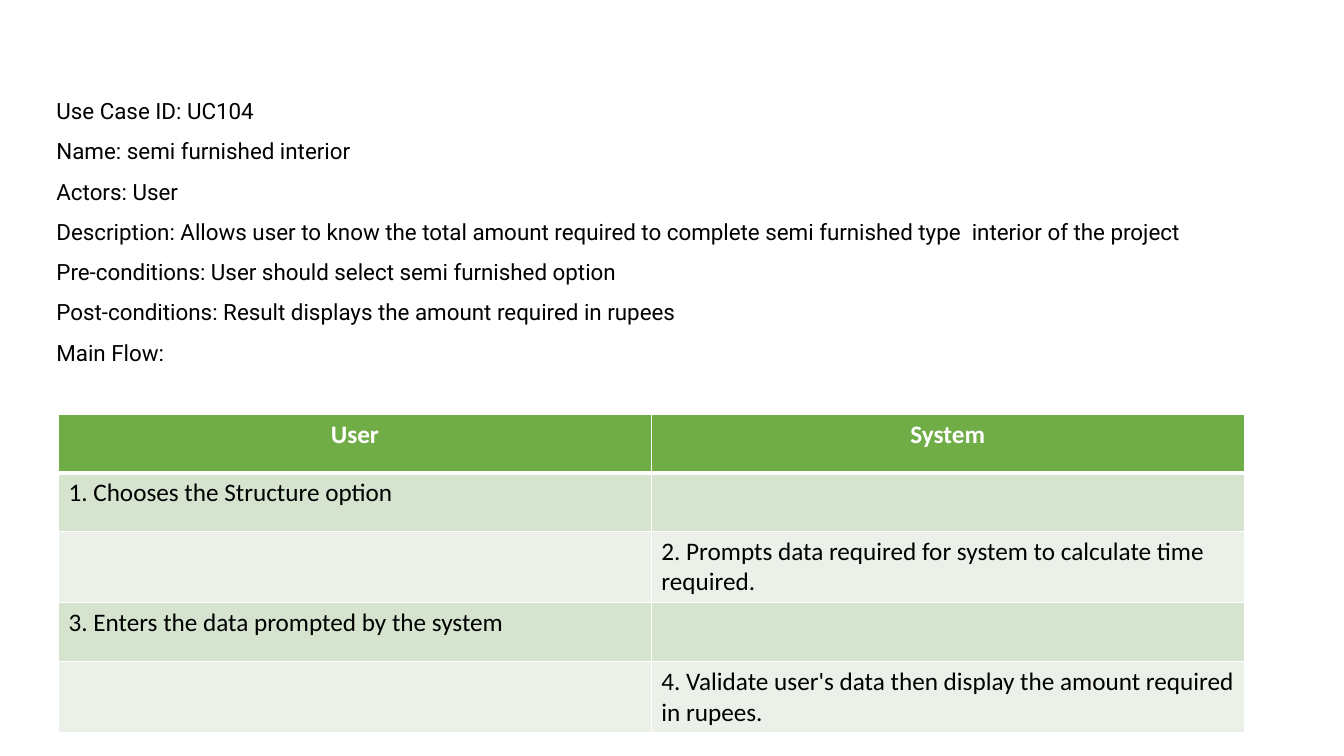
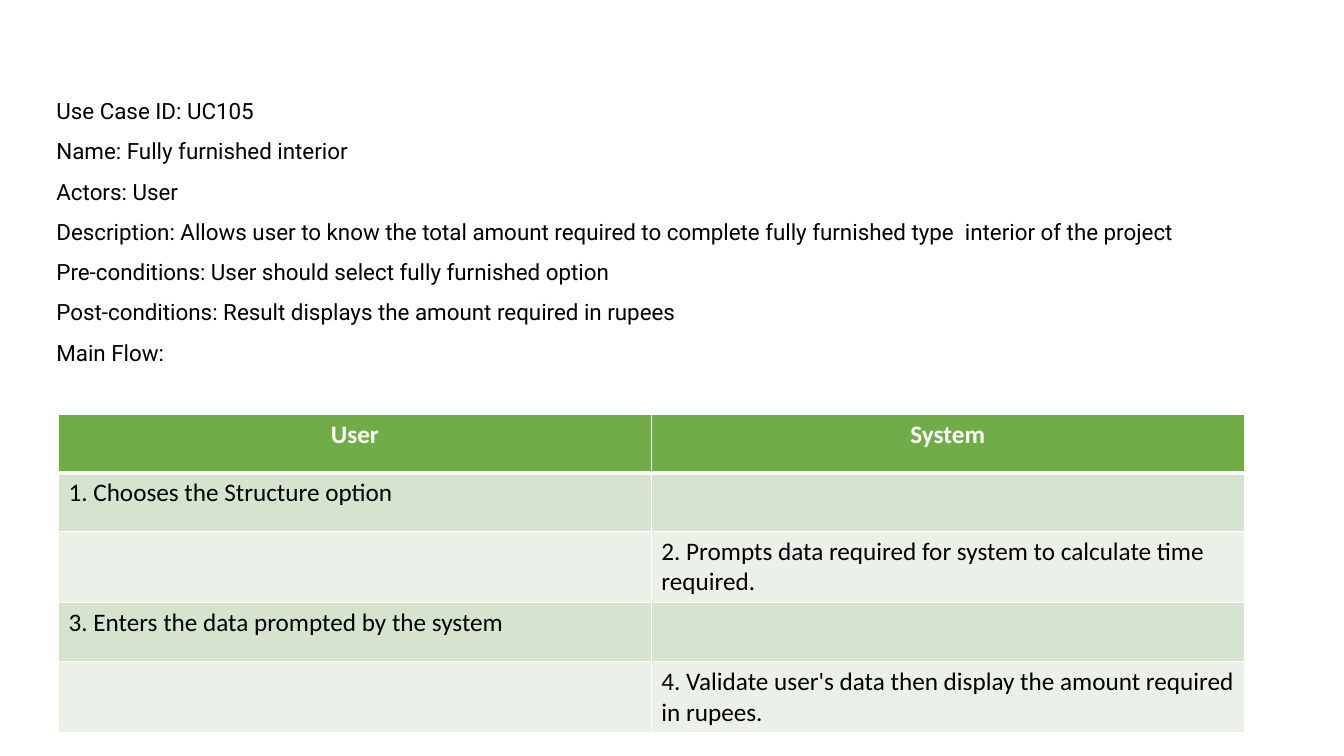
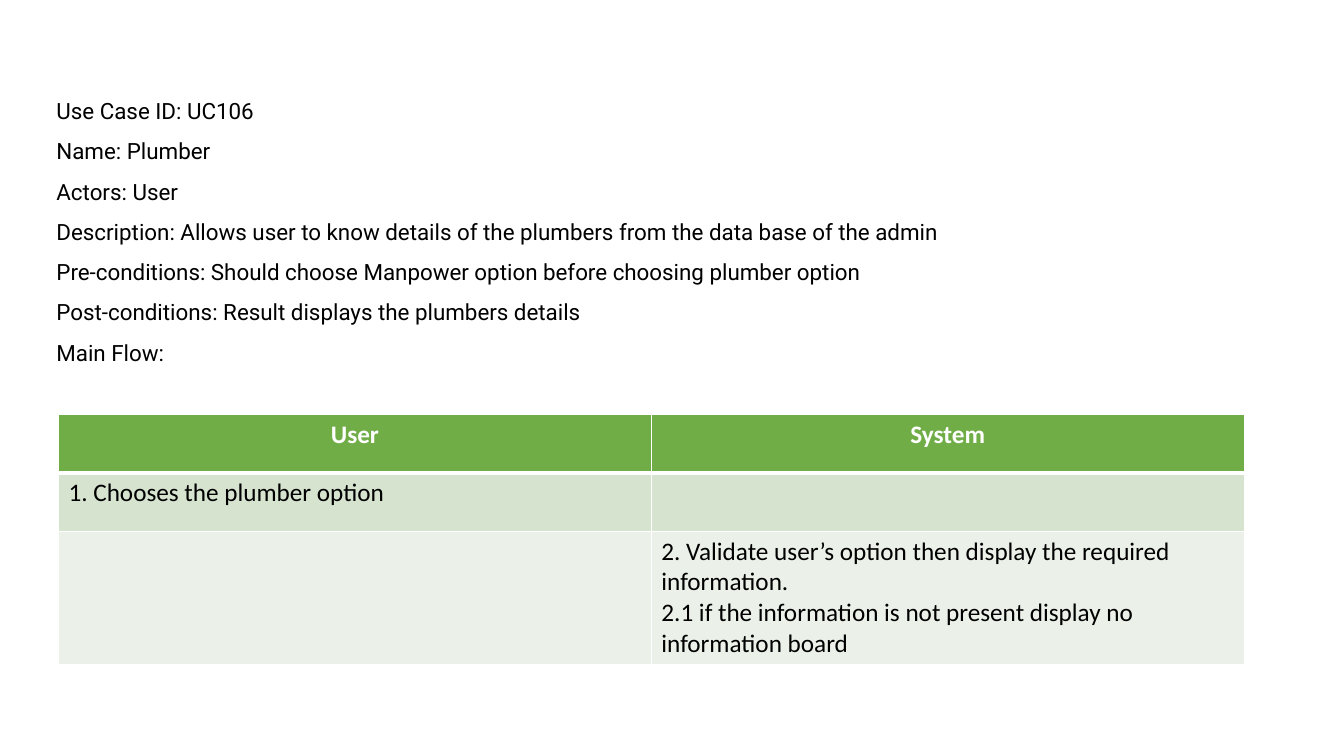
from lxml import etree
from pptx import Presentation, util as u
from pptx.dml.color import RGBColor
from pptx.enum import text
from pptx.oxml.ns import qn

WHITE = RGBColor(0xFF, 0xFF, 0xFF)
BLACK = RGBColor(0x00, 0x00, 0x00)
GREEN = RGBColor(0x70, 0xAD, 0x47)
BANDS = [RGBColor(0xEB, 0xF1, 0xE9), RGBColor(0xD5, 0xE3, 0xCF)]
BODY_FONT, TABLE_FONT = "Roboto", "Calibri"
COL_W, ROW_H = u.Inches(5.88), u.Inches(0.58)
LABELS = ["Use Case ID", "Name", "Actors", "Description",
          "Pre-conditions", "Post-conditions", "Main Flow"]

HEADER = ("User", "System")
COST_FLOW = [
    HEADER,
    ("1. Chooses the Structure option", ""),
    ("", "2. Prompts data required for system to calculate time required."),
    ("3. Enters the data prompted by the system", ""),
    ("", "4. Validate user's data then display the amount required in rupees."),
]
PLUMBER_FLOW = [
    HEADER,
    ("1. Chooses the plumber option", ""),
    ("", "2. Validate user’s option then display the required information.\n"
         "2.1 if the information is not present display no information board"),
]
COST_RESULT = "Result displays the amount required in rupees"
USE_CASES = [
    (["UC104", "semi furnished interior", "User",
      "Allows user to know the total amount required to complete "
      "semi furnished type  interior of the project",
      "User should select semi furnished option", COST_RESULT, ""], COST_FLOW),
    (["UC105", "Fully furnished interior", "User",
      "Allows user to know the total amount required to complete "
      "fully furnished type  interior of the project",
      "User should select fully furnished option", COST_RESULT, ""], COST_FLOW),
    (["UC106", "Plumber", "User",
      "Allows user to know details of the plumbers from the data base of the admin",
      "Should choose Manpower option before choosing plumber option",
      "Result displays the plumbers details", ""], PLUMBER_FLOW),
]


def style(p, font, size, color, bold=False):
    """Set the font of a whole paragraph."""
    p.font.name, p.font.size, p.font.bold = font, u.Pt(size), bold
    p.font.color.rgb = color


def add_borders(cell, top, bottom):
    """Draw white cell borders; top and bottom widths are in points."""
    tc_pr = cell._tc.get_or_add_tcPr()
    for side, width in (("L", 1), ("R", 1), ("T", top), ("B", bottom)):
        ln = etree.SubElement(tc_pr, qn(f"a:ln{side}"), w=str(u.Pt(width)))
        fill = etree.SubElement(ln, qn("a:solidFill"))
        etree.SubElement(fill, qn("a:srgbClr"), val=str(WHITE))


prs = Presentation()
prs.slide_width, prs.slide_height = u.Inches(13.33), u.Inches(7.5)

for values, flow in USE_CASES:
    s = prs.slides.add_slide(prs.slide_layouts[1])
    title = s.shapes.title._element
    title.getparent().remove(title)

    # Use case details
    details = s.placeholders[1]
    details.left, details.top = u.Inches(0.46), u.Inches(0.78)
    details.width, details.height = u.Inches(12.4), u.Inches(3.29)
    tf = details.text_frame
    tf.word_wrap, tf.auto_size = True, text.MSO_AUTO_SIZE.NONE
    tf.vertical_anchor = text.MSO_ANCHOR.TOP
    tf.text = "\n".join(f"{label}: {value}".rstrip()
                        for label, value in zip(LABELS, values))
    for p in tf.paragraphs:
        p.line_spacing, p.space_before = 1.5, u.Pt(0)
        style(p, BODY_FONT, 16, BLACK)
        p_pr = p._p.get_or_add_pPr()
        p_pr.set("marL", "0")
        p_pr.set("indent", "0")
        p_pr.insert_element_before(etree.Element(qn("a:buNone")),
                                   "a:tabLst", "a:defRPr", "a:extLst")

    # Main flow
    table = s.shapes.add_table(len(flow), 2, u.Inches(0.58), u.Inches(4.11),
                               2 * COL_W, len(flow) * ROW_H).table
    for col in table.columns:
        col.width = COL_W
    for i, row in enumerate(flow):
        table.rows[i].height = ROW_H
        for j, words in enumerate(row):
            cell = table.cell(i, j)
            add_borders(cell, 3 if i == 1 else 1, 3 if i == 0 else 1)
            cell.fill.solid()
            cell.fill.fore_color.rgb = BANDS[i % 2] if i else GREEN
            cell.text = words
            for p in cell.text_frame.paragraphs:
                style(p, TABLE_FONT, 18, BLACK if i else WHITE, bold=i == 0)
                if i == 0:
                    p.alignment = text.PP_ALIGN.CENTER

prs.save("out.pptx")
